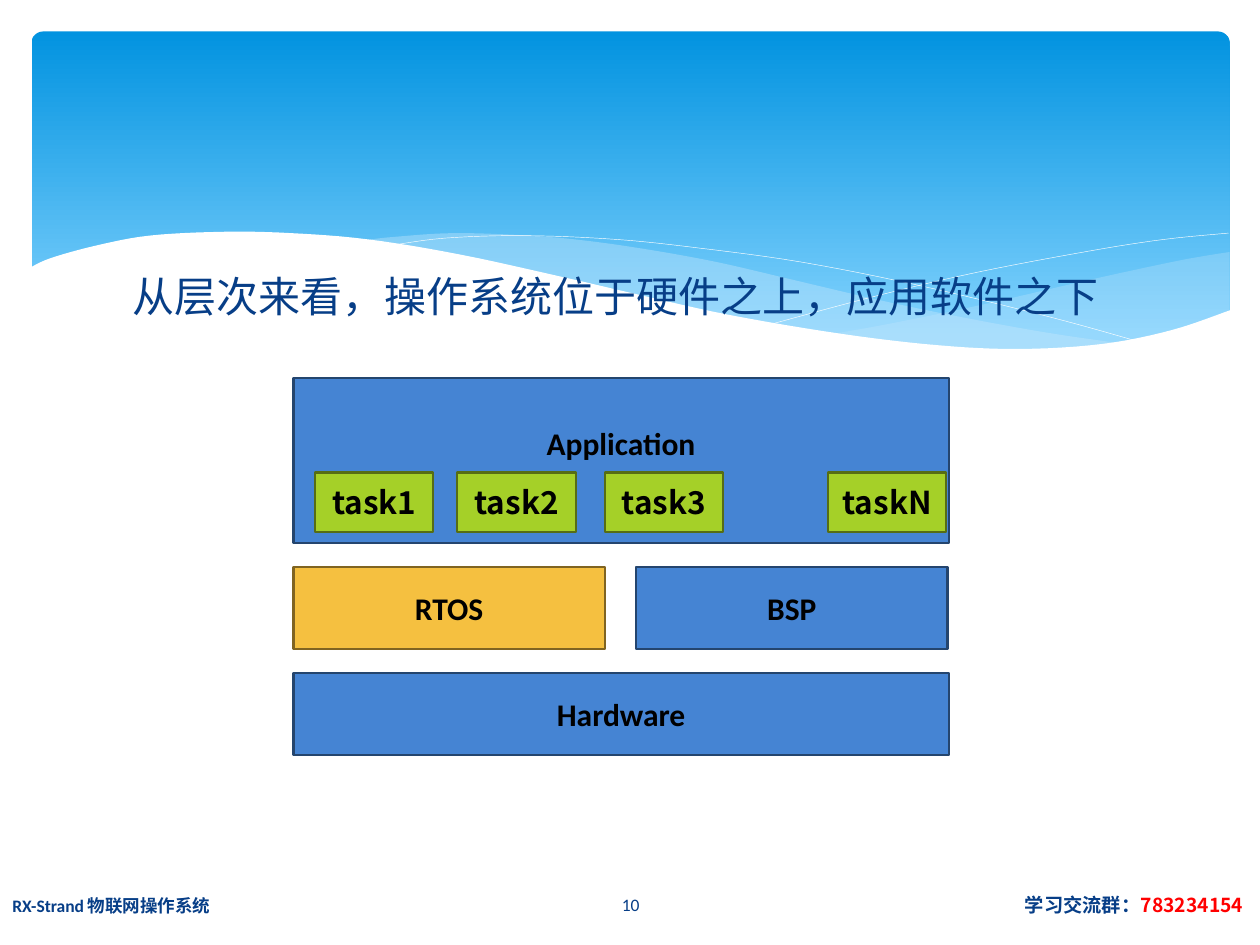
from dataclasses import dataclass
from typing import Optional

from lxml import etree
from pptx import Presentation
from pptx import util as u
from pptx.dml.color import RGBColor
from pptx.enum import shapes, text
from pptx.oxml.ns import qn

NAVY, BLUE, GREEN, AMBER, BLACK, WHITE = (
    "073E87", "4584D3", "A5D028", "F5C040", "000000", "FFFFFF")
OUTLINES = {BLUE: "24456E", GREEN: "566D15", AMBER: "806421"}
LATIN, CJK, NUMERIC = "Calibri", "Noto Sans CJK SC", "Noto Sans CJK KR"


@dataclass
class Block:
    label: str
    left: float
    top: float
    width: float
    height: float
    fill: str = BLUE
    font: str = LATIN
    bottom_inset: float = 0.05


@dataclass
class Wave:
    arcs: list  # each arc is a smooth curve; arcs meet at corners
    fill: Optional[str] = None  # without a fill the wave is an open line
    opacity: int = 100


def color(hex_value: str) -> RGBColor:
    return RGBColor.from_string(hex_value)


def add_text(paragraph, content, *, size=10, font=LATIN, fill=NAVY, bold=False,
             align=None):
    run = paragraph.add_run()
    run.text = content
    run.font.size = u.Pt(size)
    run.font.bold = bold
    run.font.color.rgb = color(fill)
    run.font.name = font
    east_asian = CJK if font == LATIN else font
    etree.SubElement(run.font._element, qn("a:ea"), typeface=east_asian)
    if align is not None:
        paragraph.alignment = align


def smooth(points: list, steps: int = 6) -> list:
    """Catmull-Rom curve through the points."""
    padded = [points[0], *points, points[-1]]
    curve = [points[0]]
    for a, b, c, d in zip(padded, padded[1:], padded[2:], padded[3:]):
        for step in range(1, steps + 1):
            t = step / steps
            curve.append(tuple(
                0.5 * (2 * q + (r - p) * t + (2 * p - 5 * q + 4 * r - s) * t ** 2
                       + (3 * q - p - 3 * r + s) * t ** 3)
                for p, q, r, s in zip(a, b, c, d)))
    return curve


def draw_wave(slide, wave: Wave):
    points = [(u.Inches(x), u.Inches(y))
              for arc in wave.arcs for x, y in smooth(arc)]
    builder = slide.shapes.build_freeform(*points[0])
    builder.add_line_segments(points[1:], close=wave.fill is not None)
    shape = builder.convert_to_shape()
    shape.shadow.inherit = False
    if wave.fill is None:
        shape.fill.background()
        shape.line.color.rgb = color(WHITE)
        shape.line.width = u.Pt(0.25)
        return
    shape.line.fill.background()
    shape.fill.solid()
    shape.fill.fore_color.rgb = color(wave.fill)
    if wave.opacity < 100:
        fill_color = shape.element.spPr.find(qn("a:solidFill"))[0]
        etree.SubElement(fill_color, qn("a:alpha"), val=str(wave.opacity * 1000))


def draw_block(slide, block: Block):
    shape = slide.shapes.add_shape(
        shapes.MSO_SHAPE.RECTANGLE, u.Inches(block.left), u.Inches(block.top),
        u.Inches(block.width), u.Inches(block.height))
    shape.shadow.inherit = False
    shape.fill.solid()
    shape.fill.fore_color.rgb = color(block.fill)
    shape.line.color.rgb = color(OUTLINES[block.fill])
    shape.line.width = u.Pt(1.25)
    frame = shape.text_frame
    frame.vertical_anchor = text.MSO_ANCHOR.MIDDLE
    frame.margin_bottom = u.Inches(block.bottom_inset)
    add_text(frame.paragraphs[0], block.label, size=18, font=block.font,
             fill=BLACK, bold=True, align=text.PP_ALIGN.CENTER)


def draw_banner(slide):
    banner = slide.shapes.add_shape(
        shapes.MSO_SHAPE.ROUNDED_RECTANGLE, u.Inches(0.25), u.Inches(0.25),
        u.Inches(9.51), u.Inches(2.7))
    banner.adjustments[0] = 0.034
    banner.shadow.inherit = False
    banner.line.fill.background()
    banner.fill.gradient()
    banner.fill.gradient_angle = 270
    for stop, (position, shade) in zip(banner.fill.gradient_stops,
                                       [(0, "0293E0"), (0.9, "83D3FE")]):
        stop.position = position
        stop.color.rgb = color(shade)


def add_footer_box(slide, left: float, width: float):
    box = slide.shapes.add_textbox(u.Inches(left), u.Inches(6.98),
                                   u.Inches(width), u.Inches(0.4))
    box.text_frame.word_wrap = True
    box.text_frame.vertical_anchor = text.MSO_ANCHOR.MIDDLE
    return box.text_frame.paragraphs[0]


WAVES = [
    Wave([[(9.76, 2), (9.35, 2.07), (8.61, 2.23), (7.79, 2.42), (7.06, 2.57),
           (6.61, 2.65)],
          [(6.61, 2.65), (7.19, 2.72), (7.81, 2.77), (8.35, 2.77), (8.89, 2.72),
           (9.35, 2.62), (9.76, 2.47)]], "C6E7FC", 29),
    Wave([[(8.93, 2.73), (8.37, 2.65), (7.75, 2.54), (7.06, 2.4), (6.29, 2.22),
           (5.69, 2.08), (5.14, 1.98), (4.65, 1.91), (4.2, 1.87), (3.61, 1.85),
           (3.13, 1.88), (2.86, 1.91)],
          [(2.86, 1.91), (3.42, 1.99), (4.04, 2.11), (4.91, 2.32), (5.66, 2.48),
           (6.34, 2.61), (6.95, 2.7), (7.48, 2.76), (8.07, 2.78), (8.57, 2.77),
           (8.93, 2.73)]], "C6E7FC", 40),
    Wave([[(3.09, 1.95), (3.53, 1.89), (4.16, 1.87), (4.89, 1.9), (5.56, 1.97),
           (6.36, 2.08), (7.27, 2.26), (8.31, 2.51), (9.07, 2.72)]]),
    Wave([[(6.13, 2.57), (6.95, 2.35), (7.76, 2.16), (8.66, 1.99), (9.24, 1.9),
           (9.75, 1.85)]]),
    Wave([[(9.77, 2.46), (9.3, 2.62), (8.75, 2.73), (8.09, 2.77), (7.44, 2.74),
           (6.68, 2.65), (5.79, 2.5), (5.03, 2.33), (4.47, 2.2), (3.65, 2.02),
           (2.92, 1.9), (2.3, 1.85), (1.77, 1.84), (1.19, 1.87), (0.76, 1.95),
           (0.4, 2.05), (0.23, 2.13)],
          [(0.23, 3.29), (9.77, 3.29)]], WHITE),
]

LAYERS = [
    Block("Application", 2.33, 3, 5.2, 1.31, bottom_inset=0.33),
    Block("RTOS", 2.33, 4.5, 2.47, 0.65, AMBER),
    Block("BSP", 5.05, 4.5, 2.47, 0.65),
    Block("Hardware", 2.33, 5.34, 5.2, 0.65),
]
TASKS = [Block(f"task{suffix}", left, 3.75, 0.94, 0.47, GREEN, CJK)
         for suffix, left in zip("123N", (2.5, 3.63, 4.8, 6.57))]


def main():
    presentation = Presentation()
    presentation.slide_width, presentation.slide_height = u.Inches(10), u.Inches(7.5)
    slide = presentation.slides.add_slide(presentation.slide_layouts[1])
    title, body = slide.shapes.title, slide.placeholders[1]
    tree = title.element.getparent()
    tree.remove(title.element)

    # Banner with waves
    draw_banner(slide)
    for wave in WAVES:
        draw_wave(slide, wave)

    # Statement, brought in front of the waves
    tree.append(body.element)
    body.left, body.top = u.Inches(0.95), u.Inches(2.1)
    body.width, body.height = u.Inches(8.1), u.Inches(4.6)
    statement = body.text_frame.paragraphs[0]
    add_text(statement, "从层次来看，操作系统位于硬件之上，应用软件之下", size=24)
    properties = statement._p.get_or_add_pPr()
    properties.set("marL", "0")
    properties.set("indent", "0")
    etree.SubElement(properties, qn("a:buNone"))

    # Footer: left label, right-tabbed group number, page number
    footer = add_footer_box(slide, 0, 10)
    tabs = etree.SubElement(footer._p.get_or_add_pPr(), qn("a:tabLst"))
    etree.SubElement(tabs, qn("a:tab"), pos=str(u.Inches(9.77)), algn="r")
    add_text(footer, "RX-Strand 物联网操作系统\t", bold=True)
    add_text(footer, "学习交流群：", size=11, bold=True)
    add_text(footer, "783234154", size=11, font=NUMERIC, fill="FF0000", bold=True)
    add_text(add_footer_box(slide, 4.37, 1.27), "10", align=text.PP_ALIGN.CENTER)

    # System layers and tasks
    for block in LAYERS + TASKS:
        draw_block(slide, block)

    presentation.save("out.pptx")


if __name__ == "__main__":
    main()
